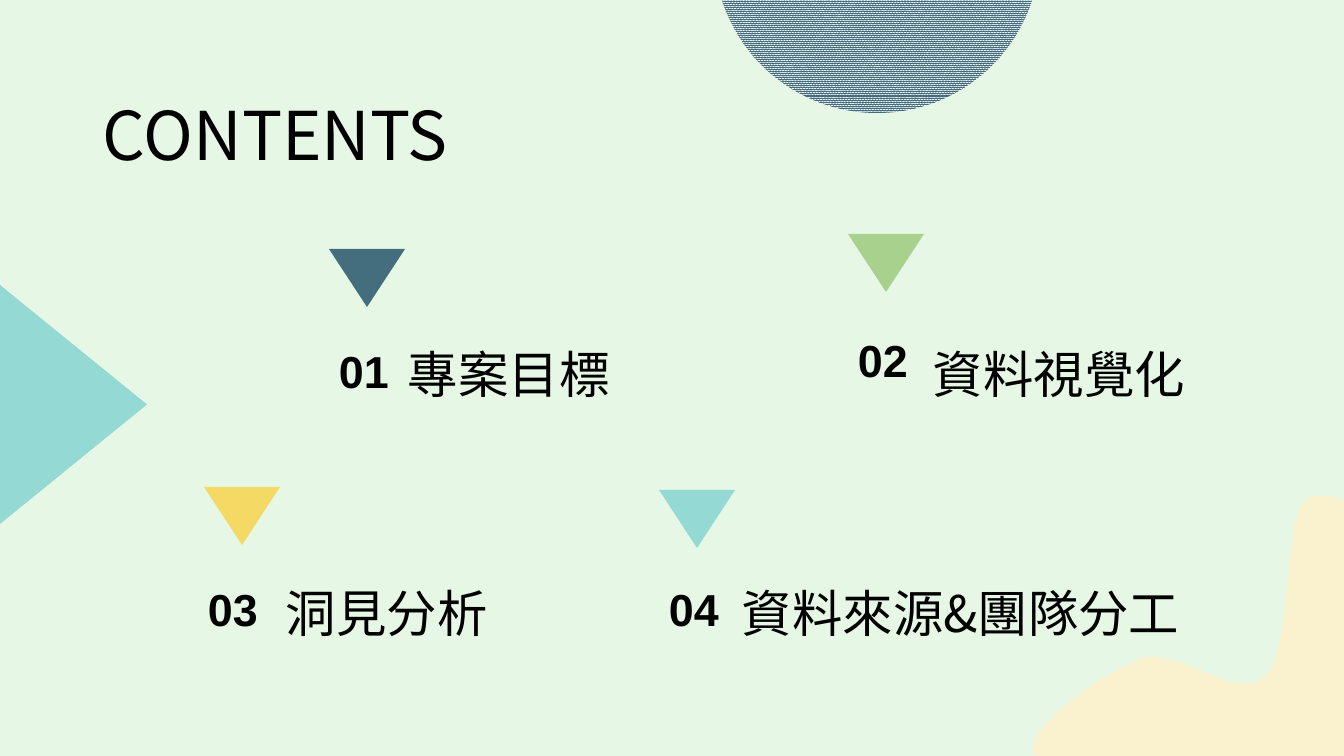
"""Build the contents slide with four numbered sections."""
import pptx
import pptx.util
import pptx.dml.color
import pptx.enum.dml
import pptx.enum.shapes
import pptx.enum.text
import pptx.oxml.ns
import lxml.etree

PX = 914400 / 100.8
CJK = "Noto Sans CJK SC"
SHAPE = pptx.enum.shapes.MSO_SHAPE
qn = pptx.oxml.ns.qn


def rgb(color):
    return pptx.dml.color.RGBColor.from_string(color)


def add_text(x, y, w, h, text, size, font, bold=False):
    tb = s.shapes.add_textbox(*[round(v * PX) for v in (x, y, w, h)])
    tf = tb.text_frame
    tf.word_wrap = True
    tf.auto_size = pptx.enum.text.MSO_AUTO_SIZE.SHAPE_TO_FIT_TEXT
    r = tf.paragraphs[0].add_run()
    r.text = text
    r.font.size = pptx.util.Pt(size)
    r.font.bold = bold
    r.font.color.rgb = rgb("000000")
    r.font.name = font
    ea = lxml.etree.SubElement(r.font._element, qn("a:ea"))
    ea.set("typeface", font)


prs = pptx.Presentation()
prs.slide_width = round(1344 * PX)
prs.slide_height = round(756 * PX)
s = prs.slides.add_slide(prs.slide_layouts[6])
s.background.fill.solid()
s.background.fill.fore_color.rgb = rgb("E6F8E5")

add_text(93, 88, 468, 92, "CONTENTS", 48, CJK)

sections = [
    ("03", "洞見分析", 204, 487, 198, 577, 276, 577, 346, "F4D964"),
    ("01", "專案目標", 329, 249, 329, 339, 398, 338, 346, "446E7E"),
    ("04", "資料來源&團隊分工", 659, 490, 659, 577, 732, 577, 536, "94D9D4"),
    ("02", "資料視覺化", 848, 234, 848, 328, 923, 338, 346, "A9D18E"),
]
triangles = []
for number, label, x, y, number_x, number_y, label_x, label_y, label_w, color in sections:
    triangles.append((x, y, 76, 58, 180, color))
    add_text(label_x, label_y, label_w, 72, label, 36, CJK)
    add_text(number_x, number_y, 84, 65, number, 32, "Arial", True)
triangles.append((-46, 331, 239, 147, 90, "94D9D4"))

for x, y, w, h, rotation, color in triangles:
    sp = s.shapes.add_shape(SHAPE.ISOSCELES_TRIANGLE, *[round(v * PX) for v in (x, y, w, h)])
    sp.rotation = rotation
    sp.shadow.inherit = False
    sp.fill.solid()
    sp.fill.fore_color.rgb = rgb(color)
    sp.line.fill.background()

left, top, right, bottom = 1033, 496, 1422, 827
fb = s.shapes.build_freeform(left, top, scale=PX)
fb.add_line_segments([(right, top), (right, bottom), (left, bottom)], close=True)
blob = fb.convert_to_shape()
blob.shadow.inherit = False
blob.fill.solid()
blob.fill.fore_color.rgb = rgb("FAF1CE")
blob.line.fill.background()

curves = [
    ("a:moveTo", [(1043, 765)]),
    ("a:cubicBezTo", [(1002, 739), (1103, 674), (1139, 659)]),
    ("a:cubicBezTo", [(1176, 645), (1238, 703), (1265, 676)]),
    ("a:cubicBezTo", [(1293, 650), (1283, 518), (1306, 500)]),
    ("a:cubicBezTo", [(1330, 483), (1392, 518), (1405, 571)]),
    ("a:cubicBezTo", [(1418, 624), (1445, 783), (1385, 816)]),
    ("a:cubicBezTo", [(1324, 849), (1084, 791), (1043, 765)]),
    ("a:close", []),
]
outline = next(blob._element.iter(qn("a:path")))
for segment in list(outline):
    outline.remove(segment)
for tag, points in curves:
    segment = lxml.etree.SubElement(outline, qn(tag))
    for x, y in points:
        pt = lxml.etree.SubElement(segment, qn("a:pt"))
        pt.set("x", str(x - left))
        pt.set("y", str(y - top))

circle = s.shapes.add_shape(SHAPE.OVAL, *[round(v * PX) for v in (714, -213, 326, 326)])
circle.shadow.inherit = False
circle.fill.patterned()
circle.fill.pattern = pptx.enum.dml.MSO_PATTERN.PERCENT_90
circle.fill.fore_color.rgb = rgb("446E7E")
circle.fill.back_color.rgb = rgb("FFFFFF")
circle.line.fill.background()

prs.save("out.pptx")
